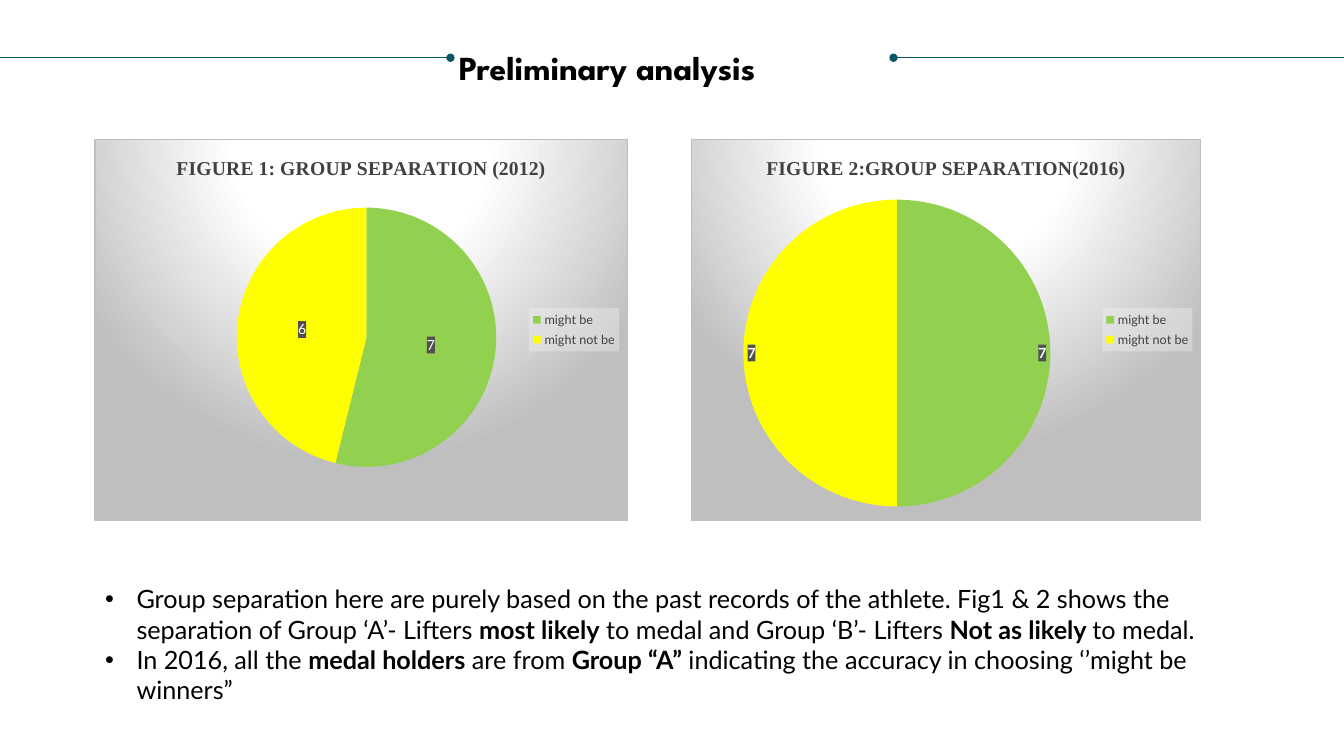
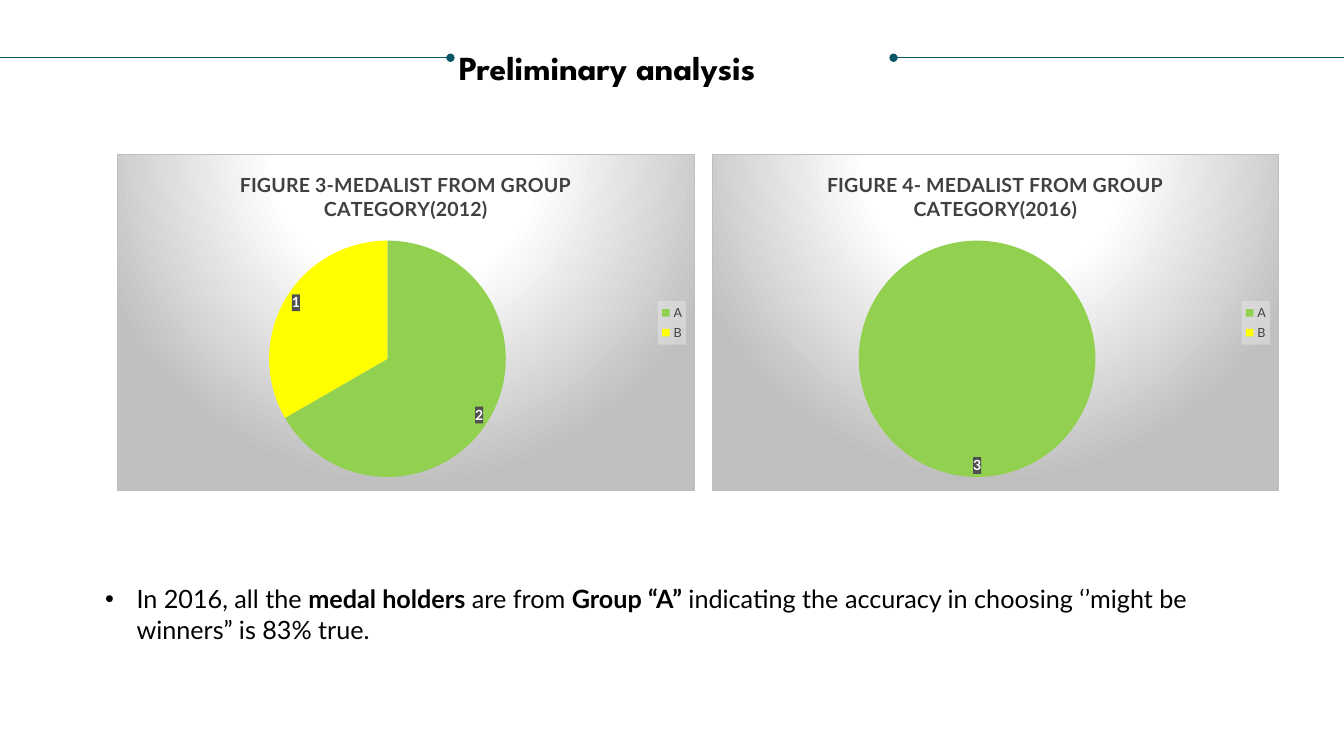
from lxml import etree
from pptx import Presentation
from pptx.chart.data import CategoryChartData
from pptx.dml.color import RGBColor
from pptx.enum.chart import XL_CHART_TYPE, XL_LABEL_POSITION, XL_LEGEND_POSITION
from pptx.enum.shapes import MSO_CONNECTOR
from pptx.enum.text import MSO_ANCHOR, PP_ALIGN
from pptx.oxml import parse_xml
from pptx.oxml.ns import nsdecls, qn
from pptx.util import Pt

PIE = XL_CHART_TYPE.PIE
CENTER = XL_LABEL_POSITION.CENTER
BEST_FIT = XL_LABEL_POSITION.BEST_FIT
LEGEND_RIGHT = XL_LEGEND_POSITION.RIGHT
STRAIGHT = MSO_CONNECTOR.STRAIGHT
TOP = MSO_ANCHOR.TOP
LEFT = PP_ALIGN.LEFT

EMU_PER_PX = 9525
SLIDE_W, SLIDE_H = 1280, 720
BODY_FONT, TITLE_FONT, SERIF_FONT = "Lato", "League Spartan", "Times New Roman"
BLACK, WHITE, TEAL = "000000", "FFFFFF", "085764"
DARK_GREY, LABEL_GREY, MID_GREY, PALE_GREY = "404040", "505050", "BFBFBF", "F2F2F2"
GREEN, YELLOW = "92D050", "FFFF00"

RULE_Y = 55
TITLE_BOX = (437, 45, 400, 32)
NOTES_BOX = (90, 551, 1071, 126)
HANGING_INDENT = 30

CHART_FILL = (
    '<a:gradFill><a:gsLst>'
    f'<a:gs pos="0"><a:srgbClr val="{WHITE}"/></a:gs>'
    f'<a:gs pos="39000"><a:srgbClr val="{WHITE}"/></a:gs>'
    f'<a:gs pos="100000"><a:srgbClr val="{MID_GREY}"/></a:gs></a:gsLst>'
    '<a:path path="circle">'
    '<a:fillToRect l="50000" t="-80000" r="50000" b="180000"/></a:path></a:gradFill>'
    f'<a:ln w="9525"><a:solidFill><a:srgbClr val="{MID_GREY}"/></a:solidFill></a:ln>'
)


def px(length):
    return int(length * EMU_PER_PX)


def px_box(box):
    return [px(length) for length in box]


def colour(hex_string):
    return RGBColor.from_string(hex_string)


def set_format(target, **values):
    for name, value in values.items():
        setattr(target, name, value)


def set_font(font, size, name=BODY_FONT, ink=BLACK, bold=False):
    set_format(font, size=Pt(size), name=name, bold=bold)
    font.color.rgb = colour(ink)


def set_frame(frame, inset):
    set_format(frame, word_wrap=True, vertical_anchor=TOP, margin_left=inset,
               margin_right=inset, margin_top=inset // 2, margin_bottom=inset // 2)


def solid_fill(hex_string, opacity=100):
    return (f'<a:solidFill><a:srgbClr val="{hex_string}">'
            f'<a:alpha val="{opacity * 1000}"/></a:srgbClr></a:solidFill>')


def add_backdrop(element, fill):
    """Give a chart part a background; its font must be set already."""
    backdrop = parse_xml(f'<c:spPr {nsdecls("c", "a")}>{fill}</c:spPr>')
    element.find(qn("c:txPr")).addprevious(backdrop)


def set_plot_layout(chart, fractions):
    plot_area = chart._chartSpace.find(".//" + qn("c:plotArea"))
    for old in plot_area.findall(qn("c:layout")):
        plot_area.remove(old)
    sizes = "".join(f'<c:{key} val="{value}"/>'
                    for key, value in zip("xywh", fractions))
    plot_area.insert(0, parse_xml(
        f'<c:layout {nsdecls("c")}><c:manualLayout><c:layoutTarget val="inner"/>'
        f'<c:xMode val="edge"/><c:yMode val="edge"/>{sizes}'
        '</c:manualLayout></c:layout>'))


def hide_unnamed_entries(legend, categories):
    position = legend._element.find(qn("c:legendPos"))
    for index, category in enumerate(categories):
        if not category:
            position.addnext(parse_xml(
                f'<c:legendEntry {nsdecls("c")}><c:idx val="{index}"/>'
                '<c:delete val="1"/></c:legendEntry>'))


def add_rule(slide, start, end, dotted_end):
    rule = slide.shapes.add_connector(STRAIGHT, px(start), px(RULE_Y), px(end), px(RULE_Y))
    rule.line.width = Pt(0.5)
    rule.line.color.rgb = colour(TEAL)
    etree.SubElement(rule.line._get_or_add_ln(), qn(f"a:{dotted_end}"), type="oval")
    etree.SubElement(rule._element.spPr, qn("a:effectLst"))


def add_header(slide, heading):
    add_rule(slide, 0, 429, "tailEnd")
    add_rule(slide, 851, SLIDE_W, "headEnd")
    title = slide.shapes.title
    set_format(title, **dict(zip(("left", "top", "width", "height"), px_box(TITLE_BOX))))
    set_frame(title.text_frame, 0)
    title.text_frame.text = heading
    paragraph = title.text_frame.paragraphs[0]
    paragraph.alignment = LEFT
    set_font(paragraph.runs[0].font, 24, TITLE_FONT, bold=True)


def add_pie(slide, box, heading, slices, slice_colours=(GREEN, YELLOW),
            heading_font=BODY_FONT, label_place=BEST_FIT, bold_labels=True,
            plot_layout=None):
    data = CategoryChartData()
    data.categories = list(slices)
    data.add_series("Series 1", list(slices.values()))
    chart = slide.shapes.add_chart(PIE, *px_box(box), data).chart
    set_font(chart.font, 10)
    add_backdrop(chart._chartSpace, CHART_FILL)

    chart.has_title = True
    chart.chart_title.text_frame.text = heading
    heading_run = chart.chart_title.text_frame.paragraphs[0].runs[0]
    set_font(heading_run.font, 14, heading_font, DARK_GREY, bold=True)

    chart.has_legend = True
    set_format(chart.legend, position=LEGEND_RIGHT, include_in_layout=False)
    set_font(chart.legend.font, 9, ink=DARK_GREY)
    add_backdrop(chart.legend._element, solid_fill(PALE_GREY, 39))
    hide_unnamed_entries(chart.legend, slices)

    plot = chart.plots[0]
    set_format(plot, vary_by_categories=True)
    labels = plot.series[0].data_labels
    set_format(labels, show_value=True, show_percentage=False, position=label_place)
    set_font(labels.font, 10, ink=WHITE, bold=bold_labels)
    add_backdrop(labels._element, solid_fill(LABEL_GREY))
    for index, slice_colour in enumerate(slice_colours):
        fill = plot.series[0].points[index].format.fill
        fill.solid()
        fill.fore_color.rgb = colour(slice_colour)
    if plot_layout:
        set_plot_layout(chart, plot_layout)


def add_notes(slide, box, notes):
    """Place bulleted paragraphs; text between asterisks is bold."""
    frame = slide.shapes.add_textbox(*px_box(box)).text_frame
    set_frame(frame, px(10))
    for index, note in enumerate(notes):
        paragraph = frame.paragraphs[0] if index == 0 else frame.add_paragraph()
        properties = paragraph._p.get_or_add_pPr()
        properties.set("marL", str(px(HANGING_INDENT)))
        properties.set("indent", str(-px(HANGING_INDENT)))
        etree.SubElement(properties, qn("a:buFont"), typeface="Arial")
        etree.SubElement(properties, qn("a:buChar"), char="•")
        for part, words in enumerate(note.split("*")):
            run = paragraph.add_run()
            run.text = words
            set_font(run.font, 18, bold=part % 2 == 1)


def add_analysis_slide(deck, pies, notes):
    slide = deck.slides.add_slide(deck.slide_layouts[5])
    add_header(slide, "Preliminary analysis")
    for pie in pies:
        add_pie(slide, **pie)
    add_notes(slide, NOTES_BOX, notes)


def main():
    deck = Presentation()
    set_format(deck, slide_width=px(SLIDE_W), slide_height=px(SLIDE_H))
    medal_note = ("In 2016, all the *medal holders* are from *Group “A”* indicating "
                  "the accuracy in choosing ‘’might be winners”")
    add_analysis_slide(
        deck,
        [dict(box=(90, 132, 508, 364), heading="FIGURE 1: GROUP SEPARATION (2012)",
              slices={"might be": 7, "might not be": 6}, heading_font=SERIF_FONT,
              label_place=CENTER, bold_labels=False,
              plot_layout=(0.04, 0.18, 0.94, 0.68)),
         dict(box=(658, 132, 486, 364), heading="FIGURE 2:GROUP SEPARATION(2016)",
              slices={"might be": 7, "might not be": 7}, heading_font=SERIF_FONT)],
        ["Group separation here are purely based on the past records of the athlete. "
         "Fig1 & 2 shows the separation of Group ‘A’- Lifters *most likely* to medal "
         "and Group ‘B’- Lifters *Not as likely *to medal.",
         medal_note])
    add_analysis_slide(
        deck,
        [dict(box=(111, 147, 551, 321), slices={"": None, "A": 2, "B": 1},
              slice_colours=(YELLOW, GREEN, YELLOW),
              heading="FIGURE 3-MEDALIST FROM GROUP CATEGORY(2012)"),
         dict(box=(678, 147, 540, 321), slices={"A": 3, "B": 0},
              heading="FIGURE 4- MEDALIST FROM GROUP CATEGORY(2016)")],
        [medal_note + " is 83% true."])
    deck.save("out.pptx")


if __name__ == "__main__":
    main()
